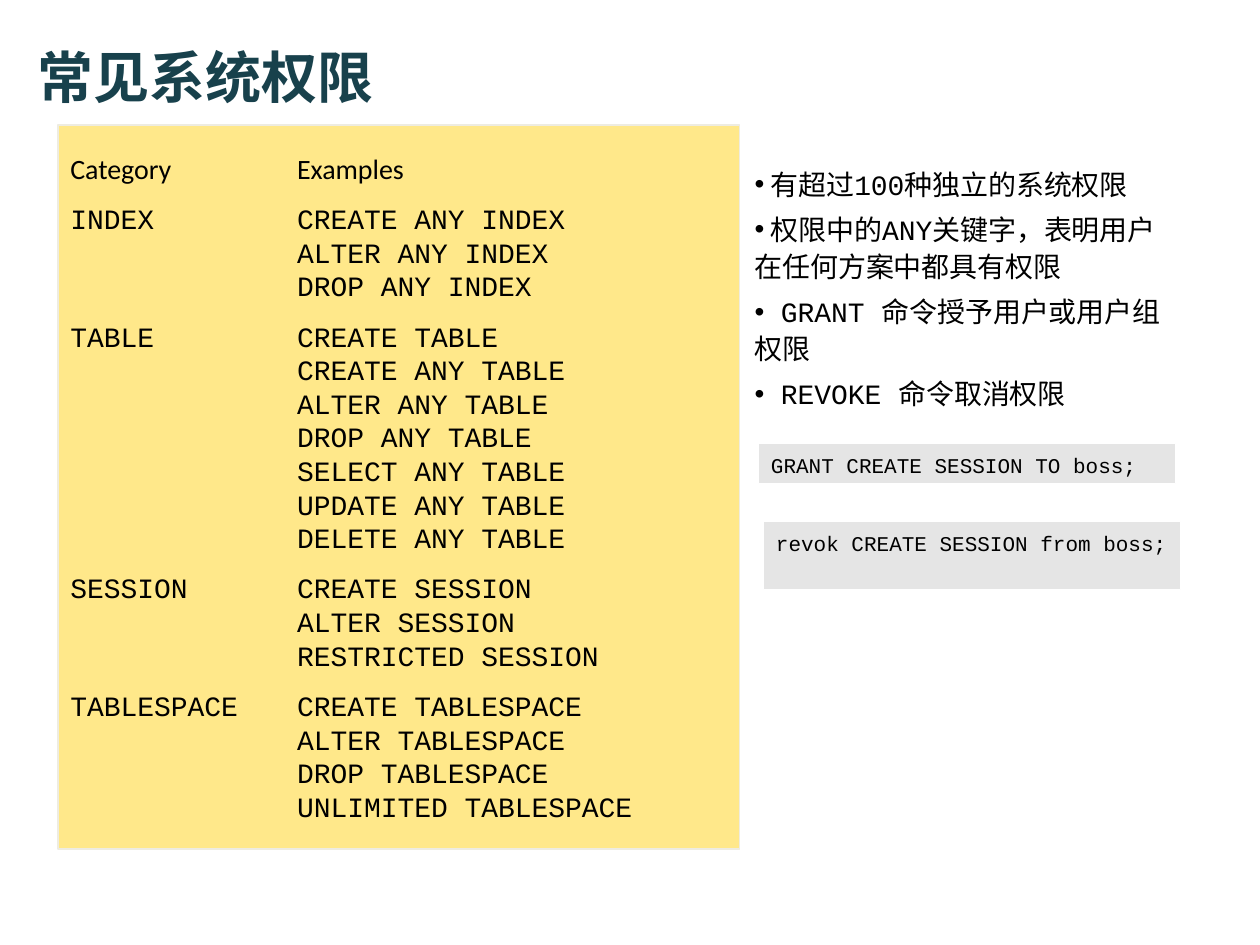
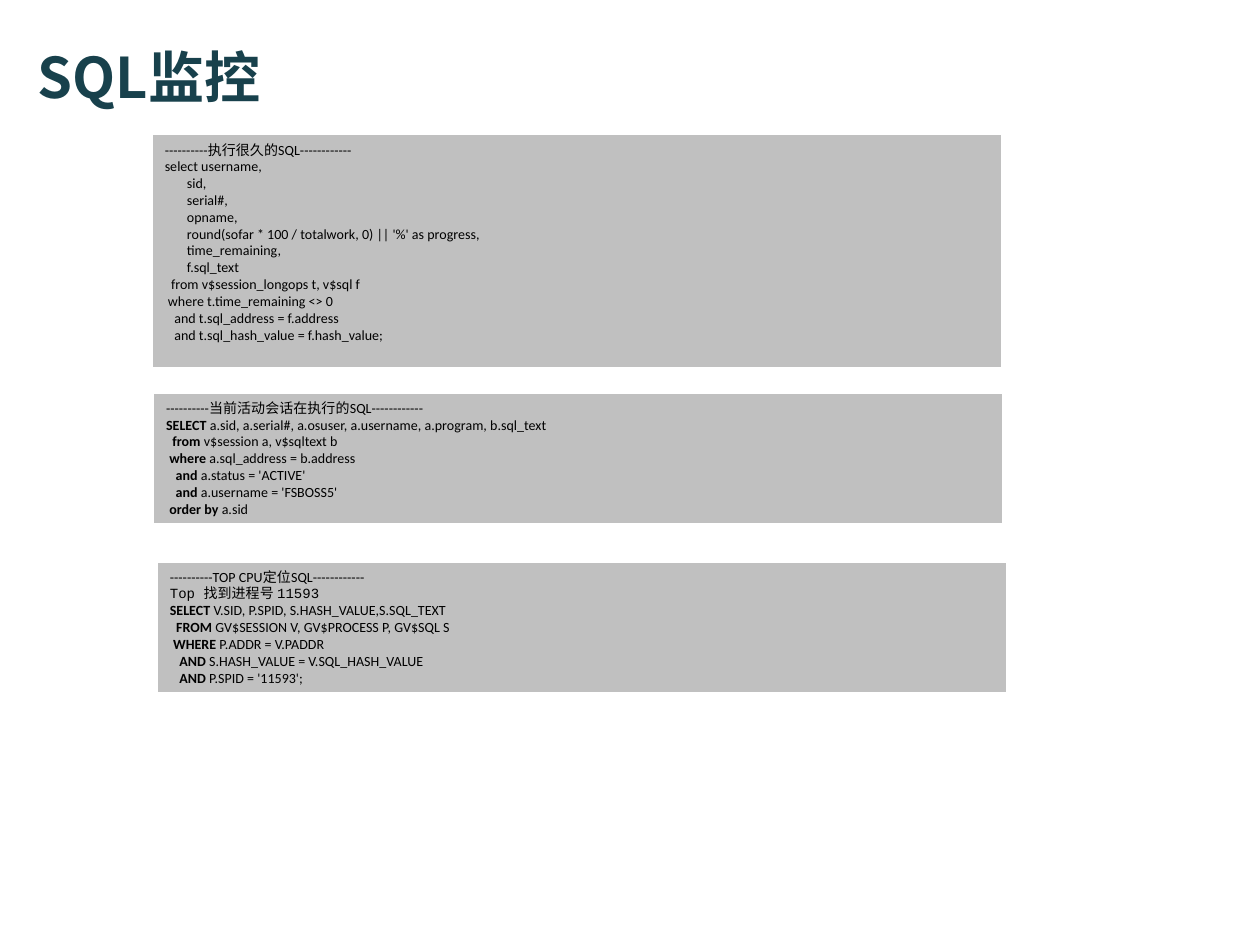
from lxml.etree import SubElement as Sub
from pptx import Presentation as Deck
from pptx.dml.color import RGBColor as Rgb
from pptx.enum.shapes import MSO_SHAPE as Kind
from pptx.enum.text import MSO_ANCHOR as Anchor
from pptx.oxml.ns import qn
from pptx.util import Inches, Pt

INK = Rgb(0x00, 0x00, 0x00)
TEAL = Rgb(0x18, 0x41, 0x4C)
WHITE = Rgb(0xFF, 0xFF, 0xFF)
AMBER = Rgb(0xFF, 0xE8, 0x8A)
CREAM = Rgb(0xEE, 0xEC, 0xE1)
PALE = Rgb(0xE5, 0xE5, 0xE5)
GREY = Rgb(0xC0, 0xC0, 0xC0)

SANS, MONO, HAN = "Calibri", "Courier New", "Noto Sans CJK SC"
COLS, ROWS = 100, 75
UNIT = Inches(0.1)
LEAD = 1.2  # line pitch per point of text size

RIGHTS = {
    "INDEX": ["CREATE ANY INDEX", "ALTER ANY INDEX", "DROP ANY INDEX"],
    "TABLE": ["CREATE TABLE", "CREATE ANY TABLE", "ALTER ANY TABLE",
              "DROP ANY TABLE", "SELECT ANY TABLE", "UPDATE ANY TABLE",
              "DELETE ANY TABLE"],
    "SESSION": ["CREATE SESSION", "ALTER SESSION", "RESTRICTED SESSION"],
    "TABLESPACE": ["CREATE TABLESPACE", "ALTER TABLESPACE",
                   "DROP TABLESPACE", "UNLIMITED TABLESPACE"],
}
POINTS = [
    " 有超过100种独立的系统权限",
    " 权限中的ANY关键字，表明用户在任何方案中都具有权限",
    " GRANT 命令授予用户或用户组权限",
    " REVOKE 命令取消权限",
]
ORDERS = [
    ((60.2, 35.2, 33.1, 3.2), "GRANT CREATE SESSION TO boss;"),
    ((60.6, 41.4, 33.1, 5.4), "revok CREATE SESSION from boss;"),
]
# Words between ~ marks are bold.
LONG = """----------执行很久的SQL------------
select username,
       sid,
       serial#,
       opname,
       round(sofar * 100 / totalwork, 0) || '%' as progress,
       time_remaining,
       f.sql_text
  from v$session_longops t, v$sql f
 where t.time_remaining <> 0
   and t.sql_address = f.address
   and t.sql_hash_value = f.hash_value;"""
LIVE = """----------当前活动会话在执行的SQL------------
~SELECT ~a.sid, a.serial#, a.osuser, a.username, a.program, b.sql_text
  ~from ~v$session a, v$sqltext b
 ~where ~a.sql_address = b.address
   ~and ~a.status = 'ACTIVE'
   ~and ~a.username = 'FSBOSS5'
 ~order by ~a.sid"""
BUSY = """----------TOP CPU定位SQL------------
Top 找到进程号 11593
~SELECT~ V.SID, P.SPID, S.HASH_VALUE,S.SQL_TEXT
  ~FROM~ GV$SESSION V, GV$PROCESS P, GV$SQL S
 ~WHERE~ P.ADDR = V.PADDR
   ~AND~ S.HASH_VALUE = V.SQL_HASH_VALUE
   ~AND~ P.SPID = '11593';"""
QUERIES = [
    ((12.1, 10.7, 67.4, 18.5), LONG),
    ((12.2, 31.2, 67.4, 10.4), LIVE),
    ((12.5, 44.6, 67.4, 10.4), BUSY),
]


def apply(item, form):
    for key, value in form.items():
        setattr(item, key, value)


def text_box(slide, area, **form):
    return frame(slide.shapes.add_textbox(*(int(n * UNIT) for n in area)), form)


def panel(slide, area, fill, edge=WHITE, width=0.75, **form):
    box = slide.shapes.add_shape(Kind.RECTANGLE, *(int(n * UNIT) for n in area))
    box.shadow.inherit = False
    box.fill.solid()
    box.fill.fore_color.rgb = fill
    box.line.color.rgb = edge
    box.line.width = Pt(width)
    return frame(box, form)


def frame(box, form):
    body = box.text_frame
    apply(body, {"word_wrap": True, "vertical_anchor": Anchor.TOP, **form})
    return body


def write(body, text, size, face, color=INK, bold=False, pitch=1.0,
          bullet=None, tab=None, **gaps):
    """Add one paragraph; pitch scales the line height."""
    first = body.paragraphs[0]
    para = body.add_paragraph() if first.runs else first
    props = para._p.get_or_add_pPr()
    if bullet:
        Sub(props, qn("a:buFont"), typeface="Arial")
        Sub(props, qn("a:buChar"), char=bullet)
    if tab:
        stops = Sub(props, qn("a:tabLst"))
        Sub(stops, qn("a:tab"), pos=str(Inches(tab)), algn="l")
    apply(para, {"line_spacing": Pt(size * LEAD * pitch), "alignment": 1, **gaps})
    for i, part in enumerate(text.split("~")):
        if not part:
            continue
        run = para.add_run()
        run.text = part
        apply(run.font, {"size": Pt(size), "name": face,
                         "bold": bold or i % 2 == 1})
        run.font.color.rgb = color
        Sub(run._r.get_or_add_rPr(), qn("a:ea"), typeface=HAN)


def add_page(deck, title):
    slide = deck.slides.add_slide(deck.slide_layouts[6])
    body = text_box(slide, (2, 2.1, 88, 7.9), vertical_anchor=Anchor.MIDDLE)
    write(body, title, 32, HAN, TEAL, bold=True)
    return slide


def list_rights(slide):
    body = panel(slide, (4.6, 9.9, 54.1, 57.5), AMBER, CREAM, 1,
                 vertical_anchor=Anchor.MIDDLE)
    write(body, "Category\tExamples", 16, SANS, tab=1.8)
    for name, cases in RIGHTS.items():
        for i, case in enumerate(cases):
            gap = Pt(0 if i else 9.6)
            write(body, f"{'' if i else name}\t{case}", 16, MONO, tab=1.8,
                  space_before=gap)


def main():
    deck = Deck()
    deck.slide_width, deck.slide_height = COLS * UNIT, ROWS * UNIT

    rights = add_page(deck, "常见系统权限")
    list_rights(rights)
    body = text_box(rights, (58.9, 12.5, 34.4, 21.1))
    for point in POINTS:
        write(body, point, 16, MONO, pitch=1.1, bullet="•", tab=0.32,
              space_after=Pt(4.8))
    for area, order in ORDERS:
        write(panel(rights, area, PALE), order, 12, MONO, pitch=1.1)

    watch = add_page(deck, "SQL监控")
    for area, query in QUERIES:
        body = panel(watch, area, GREY)
        for line in query.split("\n"):
            write(body, line, 8, MONO if line.startswith("Top") else SANS)

    deck.save("out.pptx")


if __name__ == "__main__":
    main()
